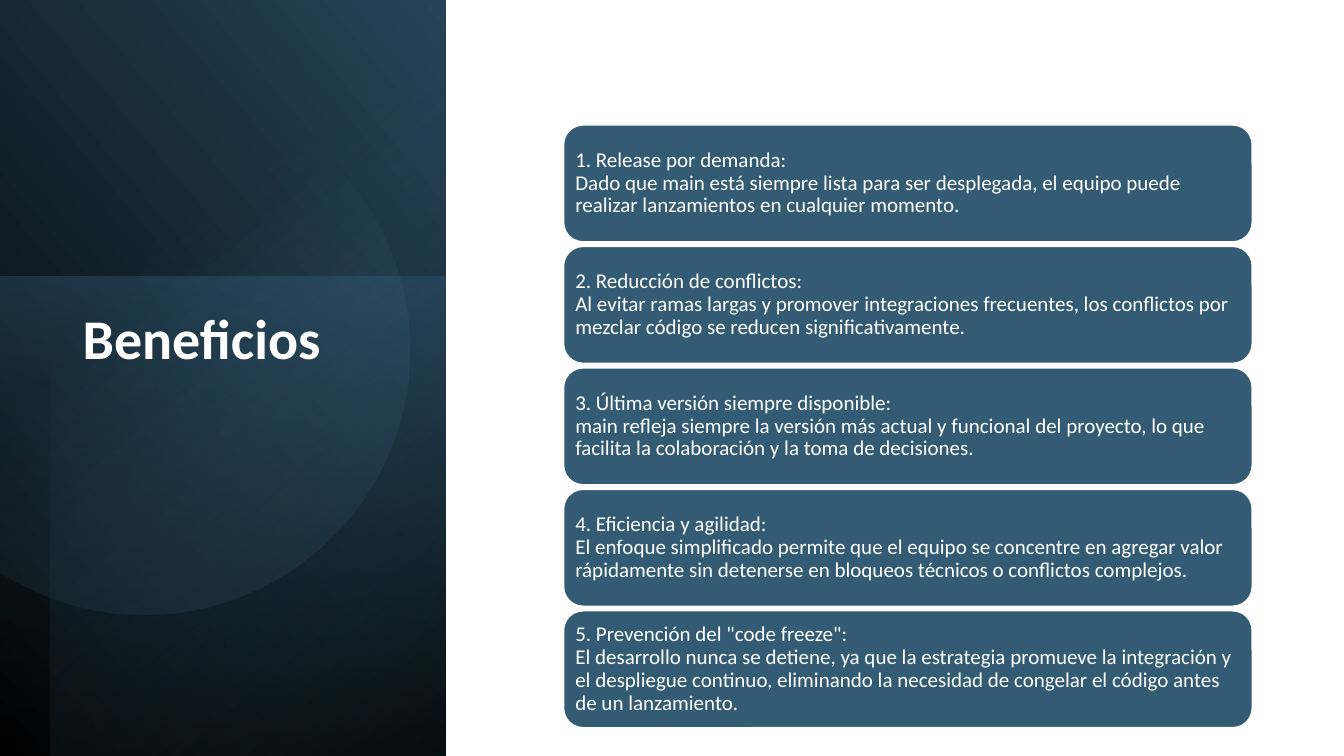
from math import acos, cos, pi, sin

from pptx import Presentation
from pptx.dml.color import RGBColor
from pptx.enum.shapes import MSO_SHAPE
from pptx.enum.text import MSO_ANCHOR, PP_ALIGN
from pptx.oxml import parse_xml
from pptx.oxml.ns import nsdecls, qn
from pptx.util import Inches, Pt

TITLE = "Beneficios"
BENEFITS = [
    ("1. Release por demanda:",
     "Dado que main está siempre lista para ser desplegada, el equipo puede "
     "realizar lanzamientos en cualquier momento."),
    ("2. Reducción de conflictos:",
     "Al evitar ramas largas y promover integraciones frecuentes, los conflictos por "
     "mezclar código se reducen significativamente."),
    ("3. Última versión siempre disponible:",
     "main refleja siempre la versión más actual y funcional del proyecto, lo que "
     "facilita la colaboración y la toma de decisiones."),
    ("4. Eficiencia y agilidad:",
     "El enfoque simplificado permite que el equipo se concentre en agregar valor "
     "rápidamente sin detenerse en bloqueos técnicos o conflictos complejos."),
    ('5. Prevención del "code freeze":',
     "El desarrollo nunca se detiene, ya que la estrategia promueve la integración y "
     "el despliegue continuo, eliminando la necesidad de congelar el código antes "
     "de un lanzamiento."),
]

FONT = "Calibri"
WHITE = RGBColor(0xFF, 0xFF, 0xFF)
BLACK = RGBColor(0x00, 0x00, 0x00)
STEEL = RGBColor(0x33, 0x5B, 0x74)
NAVY = RGBColor(0x26, 0x44, 0x57)
INK = RGBColor(0x1A, 0x2D, 0x3A)
SKY = RGBColor(0x70, 0xA1, 0xC0)

SLIDE_W, SLIDE_H = 13.33, 7.5
PANEL_W = 4.42
# Final box on the slide, rotation, mirrored, stops (position, colour, opacity), angle
PANEL_LAYERS = [
    ((0, 0, PANEL_W, SLIDE_H), 90, True,
     [(0, BLACK, 100), (100, NAVY, 100)], 310),
    ((0, 2.74, PANEL_W, SLIDE_H - 2.74), 270, False,
     [(0, STEEL, 50), (100, INK, 0)], 190),
    ((0.5, 0, PANEL_W - 0.5, SLIDE_H), 270, True,
     [(0, BLACK, 59), (69, STEEL, 0)], 220),
]
DISC_X, DISC_Y, DISC_R = 1.43, 3.47, 2.63
DISC_STOPS, DISC_ANGLE = [(39, SKY, 0), (100, NAVY, 26)], 51.6
DISC_STEPS = 120

CARD_X, CARD_Y, CARD_W, CARD_H = 5.59, 1.24, 6.83, 1.16
CARD_PITCH = 1.205


def set_gradient(shape, stops, angle):
    """Fill with a linear gradient whose stops carry their own opacity."""
    stop_xml = "".join(
        f'<a:gs pos="{position * 1000}"><a:srgbClr val="{color}">'
        f'<a:alpha val="{opacity * 1000}"/></a:srgbClr></a:gs>'
        for position, color, opacity in stops)
    gradient = parse_xml(
        f'<a:gradFill {nsdecls("a")}><a:gsLst>{stop_xml}</a:gsLst>'
        f'<a:lin ang="{round(angle * 60000)}" scaled="0"/></a:gradFill>')
    shape.fill.gradient()
    properties = shape._element.spPr
    properties.replace(properties.find(qn("a:gradFill")), gradient)
    shape.line.fill.background()
    shape.shadow.inherit = False


def write_text(shape, text, size, bold=False, anchor=MSO_ANCHOR.MIDDLE, inset=0.06):
    frame = shape.text_frame
    frame.word_wrap = True
    frame.vertical_anchor = anchor
    frame.margin_left = frame.margin_right = Inches(inset)
    frame.margin_top = frame.margin_bottom = Inches(min(inset, 0.06))
    paragraph = frame.paragraphs[0]
    paragraph.text = text
    paragraph.alignment = PP_ALIGN.LEFT
    paragraph.line_spacing = 0.9
    for run in paragraph.runs:
        run.font.name = FONT
        run.font.size = Pt(size)
        run.font.bold = bold
        run.font.color.rgb = WHITE


def add_panel_layer(slide, box, rotation, mirrored, stops, angle):
    """Add a quarter-turned rectangle that covers box once rotated."""
    left, top, width, height = box
    turned = (left + (width - height) / 2, top + (height - width) / 2, height, width)
    layer = slide.shapes.add_shape(MSO_SHAPE.RECTANGLE, *map(Inches, turned))
    layer.rotation = rotation
    if mirrored:
        layer._element.spPr.find(qn("a:xfrm")).set("flipH", "1")
    set_gradient(layer, stops, angle)


def add_disc(slide):
    """Add the disc, cut off by the slide's left edge."""
    reach = acos(-DISC_X / DISC_R)
    angles = [reach * (2 * step / DISC_STEPS - 1) for step in range(DISC_STEPS + 1)]
    points = [(Inches(DISC_X + DISC_R * cos(a)), Inches(DISC_Y + DISC_R * sin(a)))
              for a in angles]
    builder = slide.shapes.build_freeform(*points[0])
    builder.add_line_segments(points[1:], close=True)
    set_gradient(builder.convert_to_shape(), DISC_STOPS, DISC_ANGLE)


def add_card(slide, row, heading, detail):
    card = slide.shapes.add_shape(
        MSO_SHAPE.ROUNDED_RECTANGLE, Inches(CARD_X), Inches(CARD_Y + row * CARD_PITCH),
        Inches(CARD_W), Inches(CARD_H))
    card.fill.solid()
    card.fill.fore_color.rgb = STEEL
    card.line.color.rgb = WHITE
    card.line.width = Pt(1)
    card.shadow.inherit = False
    write_text(card, f"{heading}\n{detail}", 15)


def main():
    deck = Presentation()
    deck.slide_width, deck.slide_height = Inches(SLIDE_W), Inches(SLIDE_H)
    slide = deck.slides.add_slide(deck.slide_layouts[5])

    for layer in PANEL_LAYERS:
        add_panel_layer(slide, *layer)
    add_disc(slide)

    title = slide.shapes.title
    title.left, title.top, title.width, title.height = map(
        Inches, (0.72, 3.03, 3.15, 3.36))
    write_text(title, TITLE, 40, bold=True, anchor=MSO_ANCHOR.TOP, inset=0.1)
    slide.shapes._spTree.append(title._element)  # in front of the panel

    for row, (heading, detail) in enumerate(BENEFITS):
        add_card(slide, row, heading, detail)

    deck.save("out.pptx")


if __name__ == "__main__":
    main()
